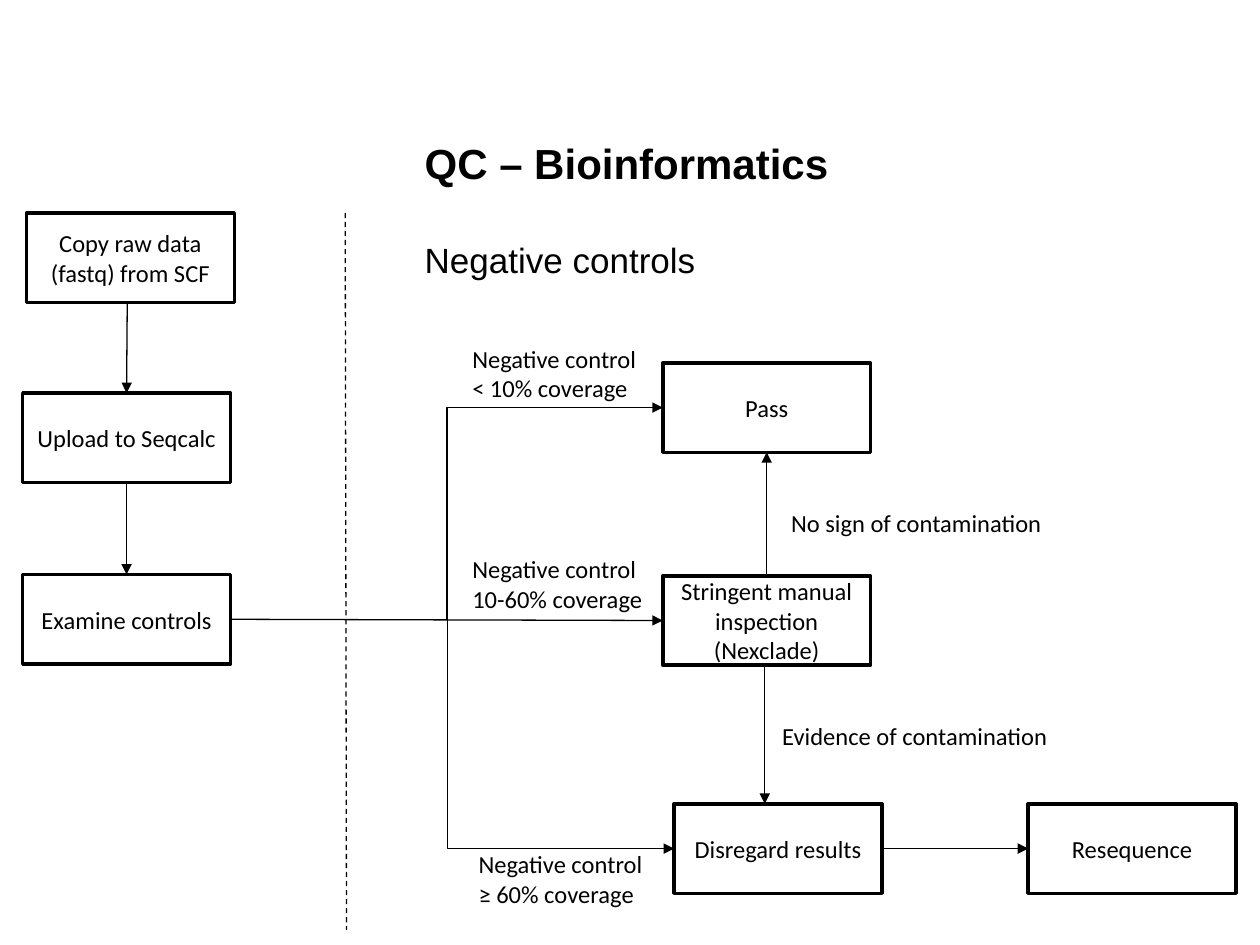
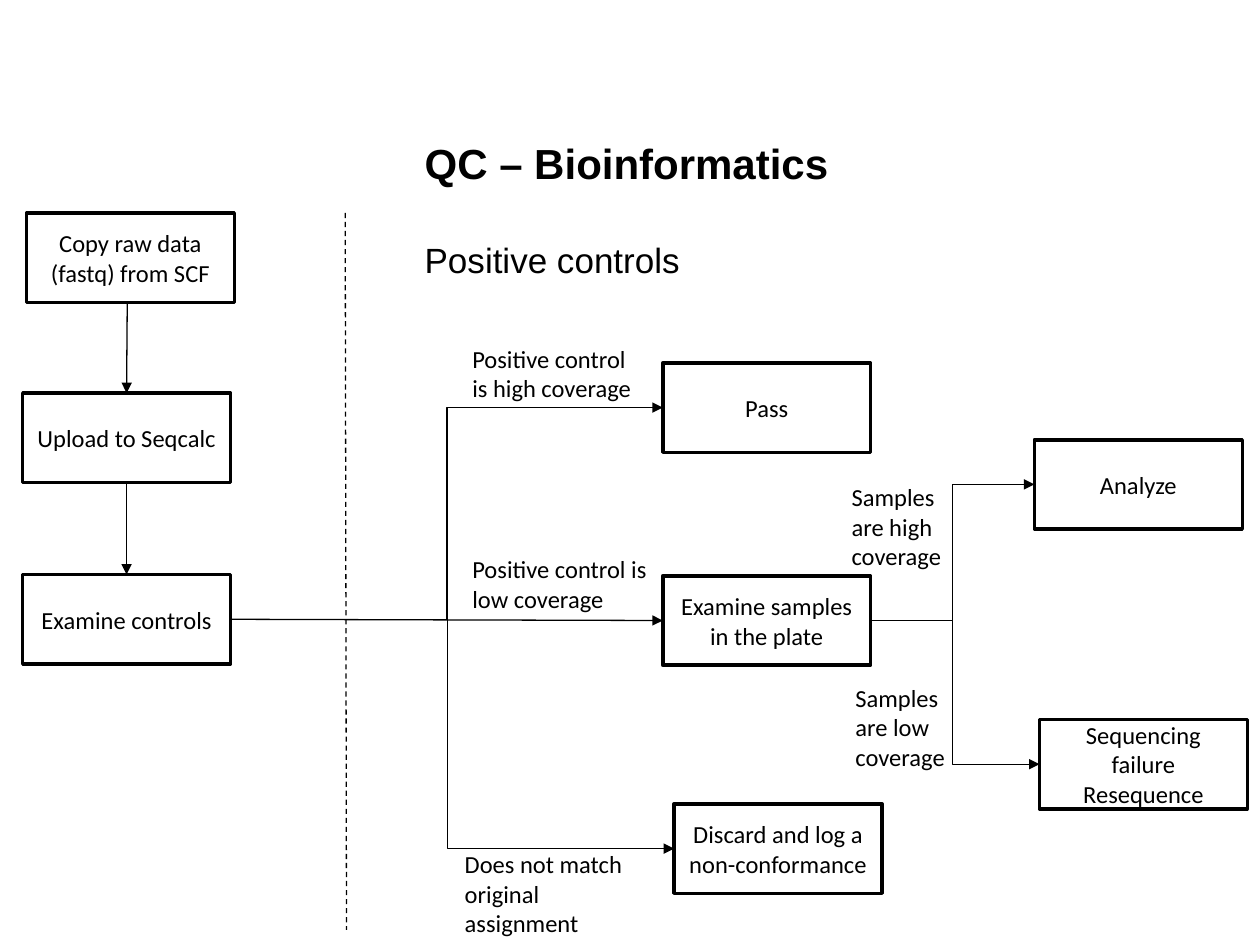
"""Build two flow charts for the checks on negative and positive controls."""
from dataclasses import dataclass
from typing import NamedTuple

import lxml.etree
import pptx
import pptx.dml.color
import pptx.enum.dml
import pptx.enum.shapes
import pptx.enum.text
import pptx.oxml.ns
import pptx.util

Inches = pptx.util.Inches
Pt = pptx.util.Pt
qn = pptx.oxml.ns.qn
Align = pptx.enum.text.PP_ALIGN
Anchor = pptx.enum.text.MSO_ANCHOR
Kind = pptx.enum.shapes.MSO_CONNECTOR

BLACK = pptx.dml.color.RGBColor(0, 0, 0)
WHITE = pptx.dml.color.RGBColor(255, 255, 255)
BOX_W, BOX_H = 1.65, 0.71
TOP, LEFT, BOTTOM, RIGHT = range(4)
SIDES = ((BOX_W / 2, 0), (0, BOX_H / 2), (BOX_W / 2, BOX_H), (BOX_W, BOX_H / 2))
FORK, SPLIT = 3.55, 7.56


@dataclass(frozen=True)
class Box:
    name: str
    text: str
    x: float
    y: float
    filled: bool = False


@dataclass(frozen=True)
class Label:
    text: str
    x: float
    y: float
    w: float
    h: float


class Port(NamedTuple):
    box: str
    side: int


class Spot(NamedTuple):
    x: float
    y: float


@dataclass(frozen=True)
class Wire:
    start: Port | Spot
    end: Port | Spot
    bend: float | None = None
    dashed: bool = False


@dataclass(frozen=True)
class Chart:
    topic: str
    boxes: tuple[Box, ...]
    wires: tuple[Wire, ...]
    labels: tuple[Label, ...]


STEPS = (
    Box("copy", "Copy raw data (fastq) from SCF", 0.21, 1.69),
    Box("upload", "Upload to Seqcalc", 0.18, 3.12),
    Box("check", "Examine controls", 0.18, 4.56),
    Box("pass", "Pass", 5.26, 2.88),
)
PATHS = (
    Wire(Spot(1.01, 2.41), Port("upload", TOP)),
    Wire(Port("upload", BOTTOM), Port("check", TOP)),
    Wire(Port("check", RIGHT), Port("middle", LEFT)),
    Wire(Port("check", RIGHT), Port("reject", LEFT), FORK),
    Wire(Port("check", RIGHT), Port("pass", LEFT), FORK),
    Wire(Spot(2.74, 1.69), Spot(2.75, 7.38), dashed=True),
)
CHARTS = (
    Chart(
        "Negative controls",
        (
            Box("middle", "Stringent manual inspection (Nexclade)", 5.26, 4.57),
            Box("reject", "Disregard results", 5.35, 6.38),
            Box("repeat", "Resequence", 8.16, 6.38, True),
        ),
        (
            Wire(Port("reject", RIGHT), Port("repeat", LEFT)),
            Wire(Port("middle", TOP), Port("pass", BOTTOM)),
            Wire(Spot(6.07, 5.28), Spot(6.07, 6.38)),
        ),
        (
            Label("Negative control < 10% coverage", 3.65, 2.68, 1.57, 0.57),
            Label("Negative control 10-60% coverage", 3.65, 4.35, 1.65, 0.57),
            Label("Negative control\n≥ 60% coverage", 3.7, 6.69, 1.57, 0.57),
            Label("No sign of contamination", 6.18, 3.98, 2.35, 0.34),
            Label("Evidence of contamination", 6.11, 5.67, 2.62, 0.34),
        ),
    ),
    Chart(
        "Positive controls",
        (
            Box("middle", "Examine samples in the plate", 5.26, 4.57),
            Box("reject", "Discard and log a non-conformance", 5.35, 6.38),
            Box("use", "Analyze", 8.21, 3.49, True),
            Box("repeat", "Sequencing failure\nResequence", 8.25, 5.71, True),
        ),
        (
            Wire(Port("middle", RIGHT), Port("use", LEFT), SPLIT),
            Wire(Port("middle", RIGHT), Port("repeat", LEFT), SPLIT),
        ),
        (
            Label("Positive control is high coverage", 3.65, 2.68, 1.57, 0.57),
            Label("Positive control is\nlow coverage", 3.65, 4.35, 1.65, 0.57),
            Label("Does not match original assignment", 3.59, 6.69, 1.6, 0.81),
            Label("Samples are high coverage", 6.66, 3.78, 1.11, 0.81),
            Label("Samples are low coverage", 6.69, 5.37, 1.11, 0.81),
        ),
    ),
)


def write(shape, text: str, *, size: int = 14, font: str = "Calibri", bold: bool = False,
          align=Align.LEFT, anchor=Anchor.TOP) -> None:
    frame = shape.text_frame
    frame.text = text
    frame.word_wrap = True
    frame.auto_size = pptx.enum.text.MSO_AUTO_SIZE.NONE
    frame.vertical_anchor = anchor
    for line in frame.paragraphs:
        props = line._p.get_or_add_pPr()
        props.set("marL", "0")
        props.set("indent", "0")
        lxml.etree.SubElement(props, qn("a:buNone"))
        line.space_before = Pt(0)
        line.alignment = align
        line.font.size = Pt(size)
        line.font.name = font
        line.font.bold = bold
        line.font.color.rgb = BLACK


def place(shape, x: float, y: float, w: float, h: float) -> None:
    shape.left, shape.top = Inches(x), Inches(y)
    shape.width, shape.height = Inches(w), Inches(h)


def draw_head(slide, topic: str) -> None:
    title, body = slide.placeholders
    place(title, 3.27, 1.04, 5.63, 0.5)
    write(title, "QC – Bioinformatics", size=24, font="Arial", bold=True)
    place(body, 3.27, 1.84, 5.63, 0.42)
    write(body, topic, size=20, font="Arial")


def draw_box(slide, box: Box):
    shape = slide.shapes.add_shape(
        pptx.enum.shapes.MSO_SHAPE.RECTANGLE,
        Inches(box.x), Inches(box.y), Inches(BOX_W), Inches(BOX_H))
    shape.shadow.inherit = False
    if box.filled:
        shape.fill.solid()
        shape.fill.fore_color.rgb = WHITE
    else:
        shape.fill.background()
    shape.line.color.rgb = BLACK
    shape.line.width = Pt(2)
    write(shape, box.text, align=Align.CENTER, anchor=Anchor.MIDDLE)
    return shape


def draw_label(slide, label: Label) -> None:
    shape = slide.shapes.add_textbox(
        Inches(label.x), Inches(label.y), Inches(label.w), Inches(label.h))
    write(shape, label.text)


def find_spot(end: Port | Spot, boxes: dict[str, Box]) -> Spot:
    if isinstance(end, Spot):
        return end
    box, (dx, dy) = boxes[end.box], SIDES[end.side]
    return Spot(box.x + dx, box.y + dy)


def draw_wire(slide, wire: Wire, boxes: dict[str, Box], shapes: dict) -> None:
    start, end = find_spot(wire.start, boxes), find_spot(wire.end, boxes)
    kind = Kind.STRAIGHT if wire.bend is None else Kind.ELBOW
    line = slide.shapes.add_connector(
        kind, Inches(start.x), Inches(start.y), Inches(end.x), Inches(end.y))
    for port, join in ((wire.start, line.begin_connect), (wire.end, line.end_connect)):
        if isinstance(port, Port):
            join(shapes[port.box], port.side)
    line.line.color.rgb = BLACK
    line.line.width = Pt(0.75)
    props = line._element.spPr
    if wire.bend is not None:
        ratio = round((wire.bend - start.x) / (end.x - start.x) * 100000)
        guides = props.find(qn("a:prstGeom")).get_or_add_avLst()
        lxml.etree.SubElement(guides, qn("a:gd"), name="adj1", fmla=f"val {ratio}")
    if wire.dashed:
        line.line.dash_style = pptx.enum.dml.MSO_LINE.DASH
    else:
        lxml.etree.SubElement(props.find(qn("a:ln")), qn("a:tailEnd"), type="triangle")
    lxml.etree.SubElement(props, qn("a:effectLst"))


def draw_chart(slide, chart: Chart) -> None:
    draw_head(slide, chart.topic)
    boxes = {box.name: box for box in STEPS + chart.boxes}
    shapes = {name: draw_box(slide, box) for name, box in boxes.items()}
    for wire in PATHS + chart.wires:
        draw_wire(slide, wire, boxes, shapes)
    for label in chart.labels:
        draw_label(slide, label)


def main() -> None:
    deck = pptx.Presentation()
    deck.slide_width, deck.slide_height = Inches(10), Inches(7.5)
    for chart in CHARTS:
        draw_chart(deck.slides.add_slide(deck.slide_layouts[1]), chart)
    deck.save("out.pptx")


if __name__ == "__main__":
    main()
